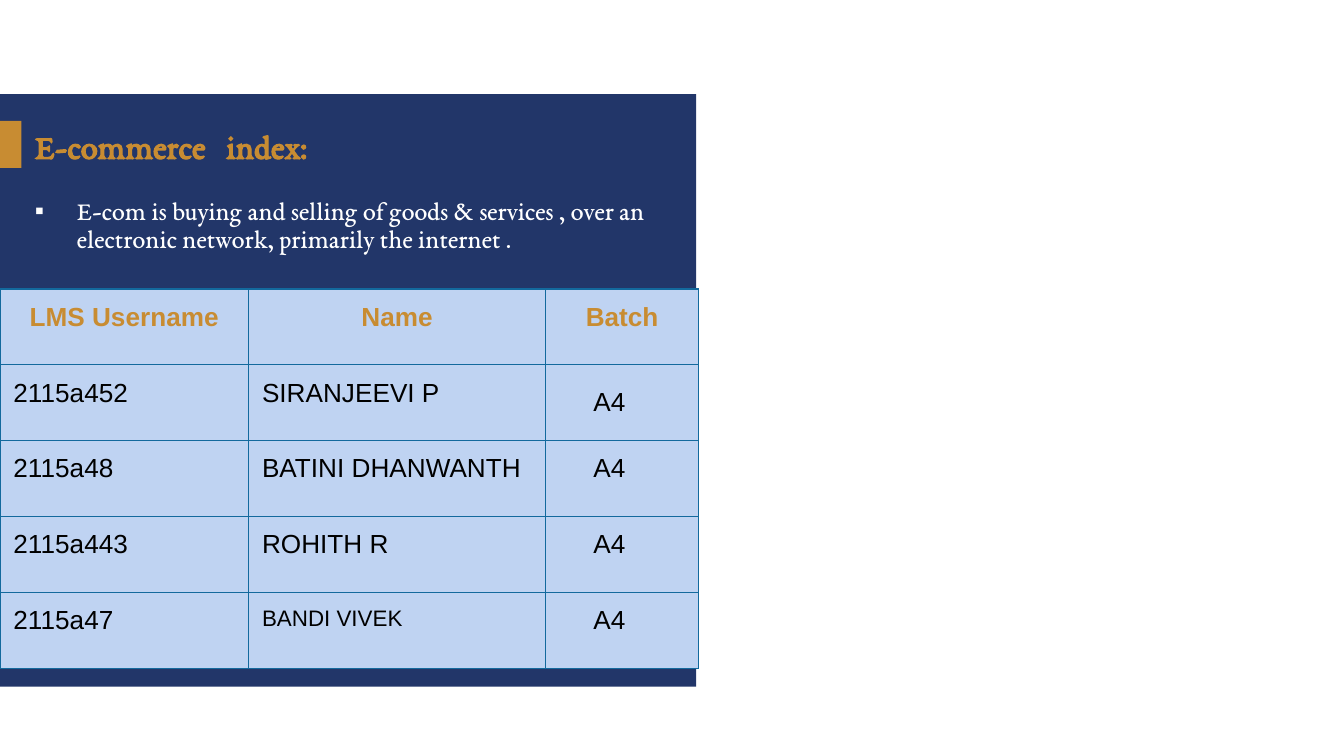
"""Builds the e-commerce index slide with its batch table."""
from pptx import Presentation
from pptx.dml import color
from pptx.enum import shapes, text
from pptx.oxml import ns, xmlchemy
from pptx.util import Pt

NAVY, GOLD, WHITE, BLACK = "223669", "C88C32", "FFFFFF", "000000"
CELL_FILL, BORDER = "BFD3F2", "13699D"
SERIF, SANS = "EB Garamond", "Arial"
LEFT, CENTER = text.PP_ALIGN.LEFT, text.PP_ALIGN.CENTER
TOP, MIDDLE = text.MSO_ANCHOR.TOP, text.MSO_ANCHOR.MIDDLE

HEADER = ["LMS Username", "Name", "Batch"]
MEMBERS = [
    ["2115a452", "SIRANJEEVI P", "A4"],
    ["2115a48", "BATINI DHANWANTH", "A4"],
    ["2115a443", "ROHITH R", "A4"],
    ["2115a47", "BANDI VIVEK", "A4"],
]
COLUMN_WIDTHS = [133.2, 159.1, 82.1]
ROW_HEIGHT = 40.65


def rgb(value):
    return color.RGBColor.from_string(value)


def add_child(parent, tag, **attributes):
    child = xmlchemy.OxmlElement(tag)
    for key, value in attributes.items():
        child.set(key, str(value))
    parent.append(child)
    return child


def write(frame, wording, font=SANS, size=14, fill=BLACK, bold=False, align=LEFT, line=None):
    paragraph = frame.paragraphs[0]
    paragraph.alignment = align
    paragraph.space_before = Pt(0)
    if line:
        paragraph.line_spacing = line
    run = paragraph.add_run()
    run.text = wording
    run.font.name, run.font.size, run.font.bold = font, Pt(size), bold
    run.font.color.rgb = rgb(fill)
    return paragraph


class IndexSlide:
    def __init__(self, deck):
        self.slide = deck.slides.add_slide(deck.slide_layouts[1])
        self.heading, self.content = self.slide.placeholders

    def place(self, holder, left, top, width, height, anchor):
        holder.left, holder.top, holder.width, holder.height = map(Pt, (left, top, width, height))
        frame = holder.text_frame
        frame.word_wrap = True
        frame.auto_size = text.MSO_AUTO_SIZE.NONE
        frame.vertical_anchor = anchor
        return frame

    def panel(self, left, top, width, height, fill):
        block = self.slide.shapes.add_shape(
            shapes.MSO_SHAPE.RECTANGLE, *map(Pt, (left, top, width, height)))
        block.shadow.inherit = False
        block.fill.solid()
        block.fill.fore_color.rgb = rgb(fill)
        block.line.fill.background()
        self.heading.element.addprevious(block.element)

    def title(self, wording, box, tab):
        frame = self.place(self.heading, *box, MIDDLE)
        properties = frame.paragraphs[0]._p.get_or_add_pPr()
        add_child(add_child(properties, "a:tabLst"), "a:tab", pos=Pt(tab), algn="l")
        write(frame, wording, SERIF, 18.3, GOLD, True)

    def bullet(self, wording, box):
        frame = self.place(self.content, *box, TOP)
        properties = frame.paragraphs[0]._p.get_or_add_pPr()
        properties.set("marL", str(Pt(22.5)))
        properties.set("indent", str(Pt(-22.5)))
        add_child(add_child(properties, "a:buClr"), "a:srgbClr", val=WHITE)
        add_child(properties, "a:buFont", typeface=SANS)
        add_child(properties, "a:buChar", char="▪")
        write(frame, wording, SERIF, 14, WHITE, line=0.9)

    def cell(self, cell, wording, indent=0, anchor=TOP, **style):
        properties = cell._tc.get_or_add_tcPr()
        for side in ("L", "R", "T", "B"):
            edge = add_child(properties, f"a:ln{side}", w=Pt(0.75))
            add_child(add_child(edge, "a:solidFill"), "a:srgbClr", val=BORDER)
        cell.fill.solid()
        cell.fill.fore_color.rgb = rgb(CELL_FILL)
        cell.margin_left = Pt(7.2 + indent)
        cell.margin_right = cell.margin_top = cell.margin_bottom = Pt(7.2)
        cell.vertical_anchor = anchor
        write(cell.text_frame, wording, **style)

    def table(self, left, top):
        rows = len(MEMBERS) + 1
        grid = self.slide.shapes.add_table(
            rows, len(HEADER), Pt(left), Pt(top),
            Pt(sum(COLUMN_WIDTHS)), Pt(ROW_HEIGHT * rows)).table
        for column, width in zip(grid.columns, COLUMN_WIDTHS):
            column.width = Pt(width)
        for row in grid.rows:
            row.height = Pt(ROW_HEIGHT)
        for c, label in enumerate(HEADER):
            self.cell(grid.cell(0, c), label, fill=GOLD, bold=True, align=CENTER)
        for r, (username, name, batch) in enumerate(MEMBERS, 1):
            self.cell(grid.cell(r, 0), username)
            self.cell(grid.cell(r, 1), name, size=12 if r == len(MEMBERS) else 14)
            self.cell(grid.cell(r, 2), batch, indent=18.5, anchor=MIDDLE if r == 1 else TOP)


def main():
    deck = Presentation()
    deck.slide_width, deck.slide_height = Pt(720), Pt(405)
    index = IndexSlide(deck)
    index.panel(0, 50.4, 373, 317.5, NAVY)
    index.panel(0, 64.8, 11.5, 25.2, GOLD)
    index.title("E-commerce\tindex:", (11.5, 64.1, 269.3, 27.4), tab=102.5)
    index.bullet(
        "E-com is buying and selling of goods & services , over an "
        "electronic network, primarily the internet .",
        (11.5, 102.2, 362.9, 239))
    index.table(0, 154.8)
    deck.save("out.pptx")


if __name__ == "__main__":
    main()
